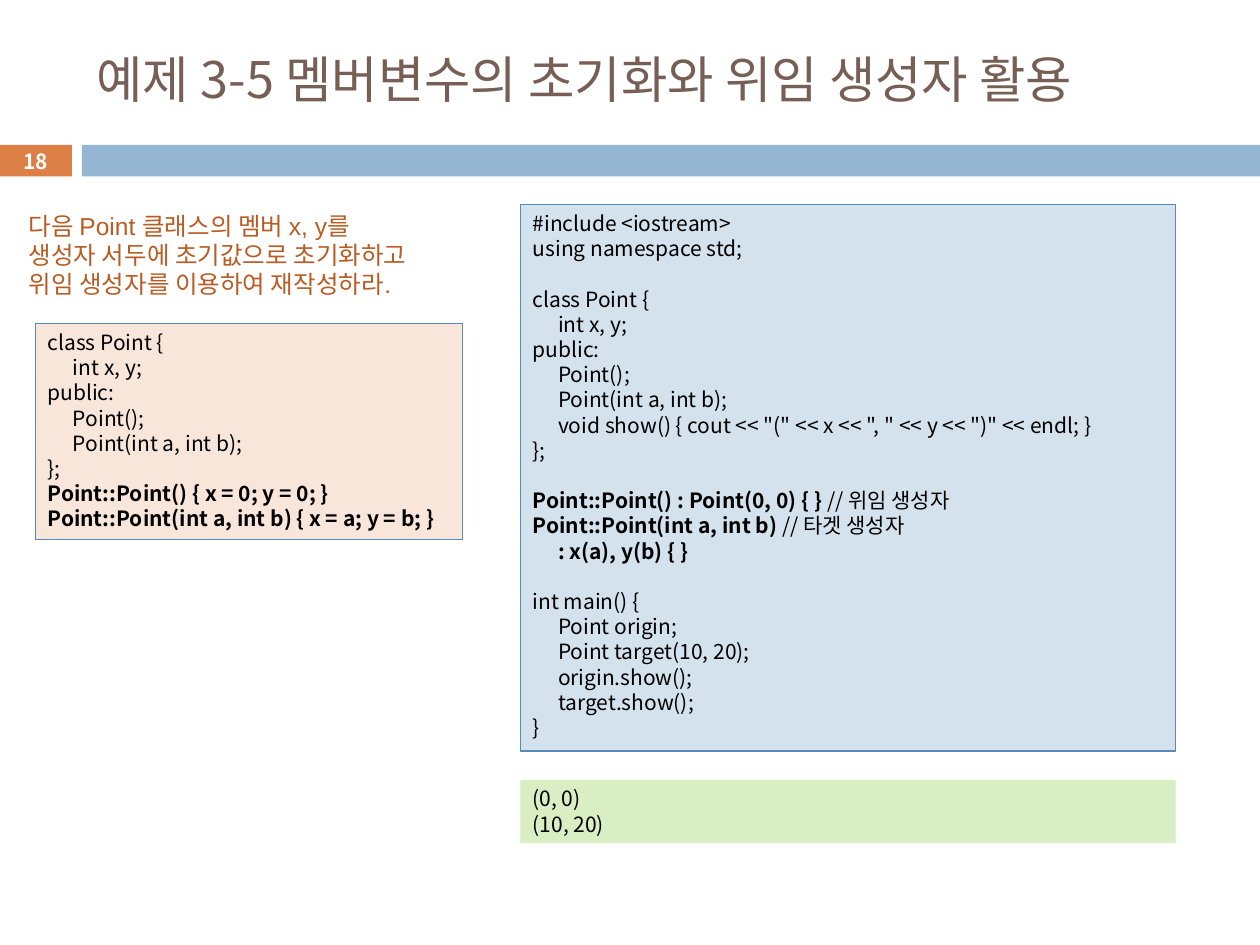
from dataclasses import dataclass

from pptx import Presentation
from pptx import util as u
from pptx.dml.color import RGBColor
from pptx.enum import shapes, text
from pptx.oxml.ns import qn

HUES = {
    "title": "775F55", "badge": "DD8047", "bar": "94B6D2", "task": "B95B22",
    "before": "F8E6DA", "after": "D4E2ED", "output": "DAEEC4",
    "edge": "558BB8", "ink": "000000", "white": "FFFFFF",
}
HANGUL = "Noto Sans CJK KR"
TAB = u.Cm(0.51)


@dataclass
class Line:
    plain: str = ""
    bold: str = ""
    tab: bool = False
    gap: bool = False


@dataclass
class Box:
    left: float
    top: float
    width: float
    height: float
    lines: tuple = ()
    fill: str = ""
    edge: str = ""
    ink: str = "ink"
    size: float = 12
    pitch: float = 14.4
    font: str = HANGUL
    align: text.PP_ALIGN = text.PP_ALIGN.LEFT
    anchor: text.MSO_ANCHOR = text.MSO_ANCHOR.TOP


def hue(name: str) -> RGBColor:
    return RGBColor.from_string(HUES[name])


def add_run(para, words: str, bold: bool, box: Box) -> None:
    run = para.add_run()
    run.text = words
    style = {"name": box.font, "size": u.Pt(box.size), "bold": bold}
    for key, value in style.items():
        setattr(run.font, key, value)
    run.font.color.rgb = hue(box.ink)
    east = run.font._element.makeelement(qn("a:ea"), {"typeface": HANGUL})
    run.font._element.find(qn("a:latin")).addnext(east)


def write(frame, box: Box) -> None:
    """Fill the frame; a gap is one line of space above a paragraph."""
    frame.word_wrap = True
    frame.vertical_anchor = box.anchor
    for i, line in enumerate(box.lines):
        para = frame.add_paragraph() if i else frame.paragraphs[0]
        style = {
            "alignment": box.align,
            "line_spacing": u.Pt(box.pitch) if box.pitch else None,
            "space_before": u.Pt(box.pitch if line.gap else 0),
        }
        for key, value in style.items():
            setattr(para, key, value)
        if line.tab:
            para._p.get_or_add_pPr().set("marL", str(TAB))
        for words, bold in ((line.bold, True), (line.plain, False)):
            if words:
                add_run(para, words, bold, box)


def draw(slide, box: Box) -> None:
    area = [u.Cm(n) for n in (box.left, box.top, box.width, box.height)]
    if box.fill:
        shape = slide.shapes.add_shape(shapes.MSO_SHAPE.RECTANGLE, *area)
        shape.shadow.inherit = False
        shape.fill.solid()
        shape.fill.fore_color.rgb = hue(box.fill)
        if box.edge:
            shape.line.color.rgb = hue(box.edge)
            shape.line.width = u.Pt(0.75)
        else:
            shape.line.fill.background()
    else:
        shape = slide.shapes.add_textbox(*area)
    write(shape.text_frame, box)


HEAD = (
    Line("class Point {"),
    Line("int x, y;", tab=True),
    Line("public:"),
    Line("Point();", tab=True),
    Line("Point(int a, int b);", tab=True),
)
BEFORE = HEAD + (
    Line("};"),
    Line(bold="Point::Point() { x = 0; y = 0; }"),
    Line(bold="Point::Point(int a, int b) { x = a; y = b; }"),
)
AFTER = (
    Line("#include <iostream>"),
    Line("using namespace std;"),
    Line(HEAD[0].plain, gap=True),
    *HEAD[1:],
    Line('void show() { cout << "(" << x << ", " << y << ")" << endl; }', tab=True),
    Line("};"),
    Line("// 위임 생성자", "Point::Point() : Point(0, 0) { } ", gap=True),
    Line("// 타겟 생성자", "Point::Point(int a, int b) "),
    Line(bold=": x(a), y(b) { }", tab=True),
    Line("int main() {", gap=True),
    Line("Point origin;", tab=True),
    Line("Point target(10, 20);", tab=True),
    Line("origin.show();", tab=True),
    Line("target.show();", tab=True),
    Line("}"),
)
TASK = (
    Line("다음 Point 클래스의 멤버 x, y를"),
    Line("생성자 서두에 초기값으로 초기화하고"),
    Line("위임 생성자를 이용하여 재작성하라."),
)
TITLE = (Line("예제 3-5 멤버변수의 초기화와 위임 생성자 활용"),)
MID = text.MSO_ANCHOR.MIDDLE

BOXES = (
    Box(-0.02, 2.92, 1.47, 0.64, (Line(bold="18"),), "badge", ink="white",
        size=11.9, align=text.PP_ALIGN.CENTER, anchor=MID),
    Box(1.65, 2.92, 23.75, 0.64, fill="bar"),
    Box(1.7, 0.64, 22.66, 1.88, TITLE, ink="title", size=28.8, pitch=0, anchor=MID),
    Box(0.71, 6.52, 8.62, 4.36, BEFORE, "before", "edge"),
    Box(10.49, 4.12, 13.21, 11.02, AFTER, "after", "edge"),
    Box(0.33, 4.12, 9, 2.06, TASK, ink="task", size=14, pitch=16.8, font="Arial"),
    Box(10.49, 15.72, 13.21, 1.28, (Line("(0, 0)"), Line("(10, 20)")), "output"),
)


def main() -> None:
    deck = Presentation()
    deck.slide_width, deck.slide_height = u.Cm(25.4), u.Cm(19.05)
    slide = deck.slides.add_slide(deck.slide_layouts[6])
    for box in BOXES:
        draw(slide, box)
    deck.save("out.pptx")


if __name__ == "__main__":
    main()
